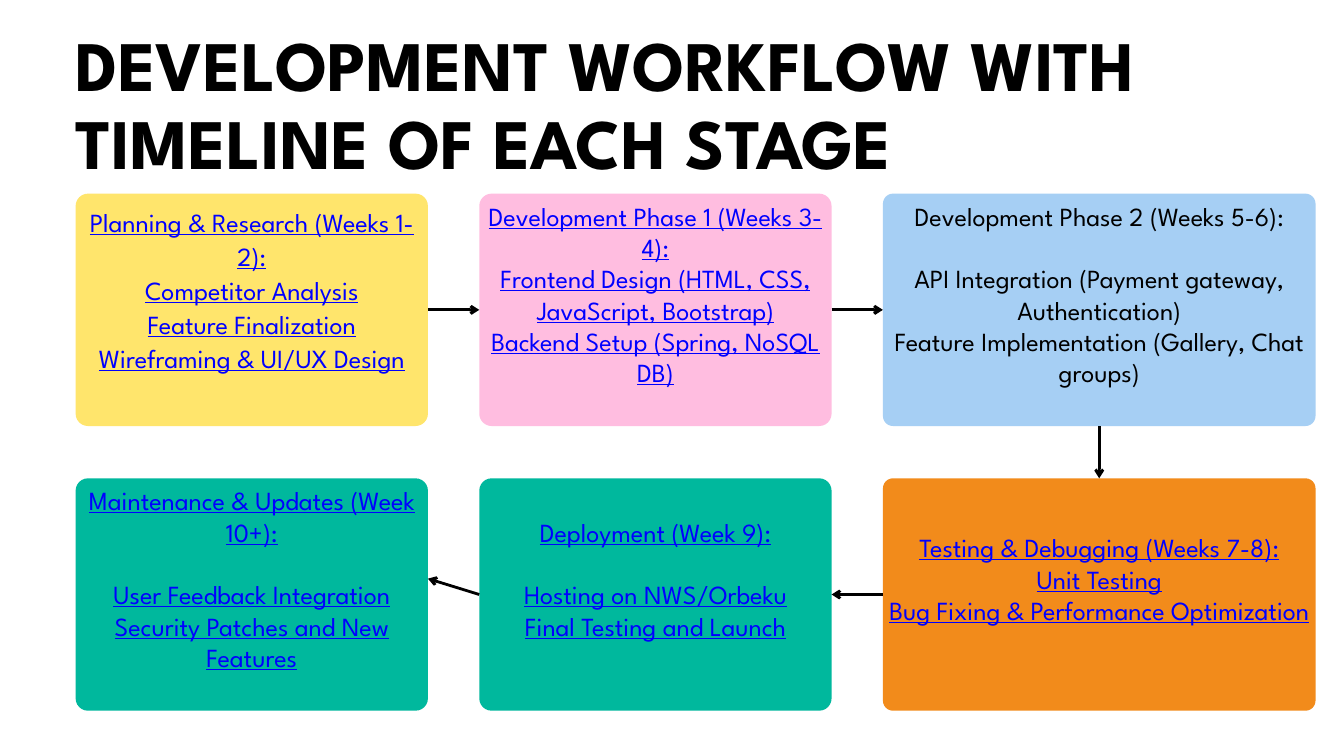
from lxml import etree
from pptx import Presentation
from pptx.dml.color import RGBColor
from pptx.enum import shapes, text
from pptx.oxml.ns import qn
from pptx.util import Pt

FONT = "League Spartan"
BLACK = RGBColor(0x00, 0x00, 0x00)
BLUE = RGBColor(0x00, 0x00, 0xFF)
YELLOW = RGBColor(0xFF, 0xE5, 0x6C)
PINK = RGBColor(0xFF, 0xBD, 0xE0)
SKY = RGBColor(0xA6, 0xCF, 0xF4)
ORANGE = RGBColor(0xF2, 0x8B, 0x1B)
TEAL = RGBColor(0x00, 0xB8, 0x9D)

LEFT, TOP = 81, 207.5
COL_STEP, ROW_STEP = 432.5, 305
NARROW, WIDE, HEIGHT = 377.5, 463.5, 249
MARGIN = 4.5

# name: column, row, fill, colour, leading, gap after heading, extra bottom, lines
STAGES = {
    "planning": (0, 0, YELLOW, BLUE, 36.4, False, 8.5, [
        "Planning & Research (Weeks 1-2):", "Competitor Analysis",
        "Feature Finalization", "Wireframing & UI/UX Design"]),
    "phase 1": (1, 0, PINK, BLUE, 33.6, False, 0, [
        "Development Phase 1 (Weeks 3-4):",
        "Frontend Design (HTML, CSS, JavaScript, Bootstrap)",
        "Backend Setup (Spring, NoSQL DB)"]),
    "phase 2": (2, 0, SKY, BLACK, 33.6, True, 0, [
        "Development Phase 2 (Weeks 5-6):",
        "API Integration (Payment gateway, Authentication)",
        "Feature Implementation (Gallery, Chat groups)"]),
    "testing": (2, 1, ORANGE, BLUE, 33.6, False, 0, [
        "Testing & Debugging (Weeks 7-8):", "Unit Testing",
        "Bug Fixing & Performance Optimization"]),
    "deployment": (1, 1, TEAL, BLUE, 33.6, True, 0, [
        "Deployment (Week 9):", "Hosting on NWS/Orbeku",
        "Final Testing and Launch"]),
    "maintenance": (0, 1, TEAL, BLUE, 33.6, True, 0, [
        "Maintenance & Updates (Week 10+):", "User Feedback Integration",
        "Security Patches and New Features"]),
}


def add_run(p, words, size, color, bold=False, underline=False):
    """Add one styled run to a paragraph."""
    r = p.add_run()
    r.text = words
    f = r.font
    f.name, f.size, f.bold, f.underline = FONT, Pt(size), bold, underline
    f.color.rgb = color


def add_title(s, x, y, w, h):
    """Place the slide title in the given box."""
    tf = s.shapes.add_textbox(Pt(x), Pt(y), Pt(w), Pt(h)).text_frame
    tf.word_wrap = True
    tf.margin_left = tf.margin_right = tf.margin_top = tf.margin_bottom = 0
    p = tf.paragraphs[0]
    p.line_spacing = Pt(83.6)
    add_run(p, "DEVELOPMENT WORKFLOW WITH TIMELINE OF EACH STAGE", 76, BLACK, bold=True)


def add_stage(s, x, y, w, h, fill, color, leading, gap, extra, lines):
    """Place a rounded stage card with its centred text in the given box."""
    sp = s.shapes.add_shape(shapes.MSO_SHAPE.ROUNDED_RECTANGLE, Pt(x), Pt(y), Pt(w), Pt(h))
    radius = 5000 / w
    sp.adjustments[0] = radius / h
    sp.shadow.inherit = False
    sp.fill.solid()
    sp.fill.fore_color.rgb = fill
    sp.line.fill.background()
    tf = sp.text_frame
    tf.word_wrap = True
    tf.vertical_anchor = text.MSO_ANCHOR.MIDDLE
    inset = MARGIN - 0.29 * radius
    tf.margin_left = tf.margin_right = tf.margin_top = Pt(inset)
    tf.margin_bottom = Pt(inset + leading + extra)
    for i, words in enumerate(lines):
        p = tf.add_paragraph() if i else tf.paragraphs[0]
        p.alignment = text.PP_ALIGN.CENTER
        p.line_spacing = Pt(leading)
        if gap and i == 1:
            p.space_before = Pt(leading)
        add_run(p, words, 28, color, underline=color == BLUE)
    return sp


def add_arrow(s, start, start_side, end, end_side):
    """Draw an arrow between the sides of two cards and return it."""
    c = s.shapes.add_connector(shapes.MSO_CONNECTOR.STRAIGHT, 0, 0, 0, 0)
    c.begin_connect(start, start_side)
    if end is not None:
        c.end_connect(end, end_side)
    c.line.color.rgb = BLACK
    c.line.width = Pt(3)
    etree.SubElement(c.line._get_or_add_ln(), qn("a:tailEnd"), type="arrow")
    etree.SubElement(c._element.spPr, qn("a:effectLst"))
    return c


def add_workflow(s, x, y):
    """Place the grid of stage cards and the arrows that link them."""
    cards = {}
    for name, (col, row, *style) in STAGES.items():
        w = WIDE if col == 2 else NARROW
        cards[name] = add_stage(s, x + col * COL_STEP, y + row * ROW_STEP, w, HEIGHT, *style)
    add_arrow(s, cards["planning"], 3, cards["phase 1"], 1)
    add_arrow(s, cards["phase 1"], 3, cards["phase 2"], 1)
    add_arrow(s, cards["phase 2"], 2, cards["testing"], 0)
    add_arrow(s, cards["testing"], 1, cards["deployment"], 3)
    last = add_arrow(s, cards["deployment"], 1, None, None)
    last.end_x, last.end_y = Pt(x + NARROW), Pt(y + ROW_STEP + 107.5)


def main():
    """Build the slide and save it."""
    prs = Presentation()
    prs.slide_width, prs.slide_height = Pt(1440), Pt(810)
    s = prs.slides.add_slide(prs.slide_layouts[6])
    add_title(s, LEFT, 29.5, 1328.5, 169)
    add_workflow(s, LEFT, TOP)
    prs.save("out.pptx")


if __name__ == "__main__":
    main()
